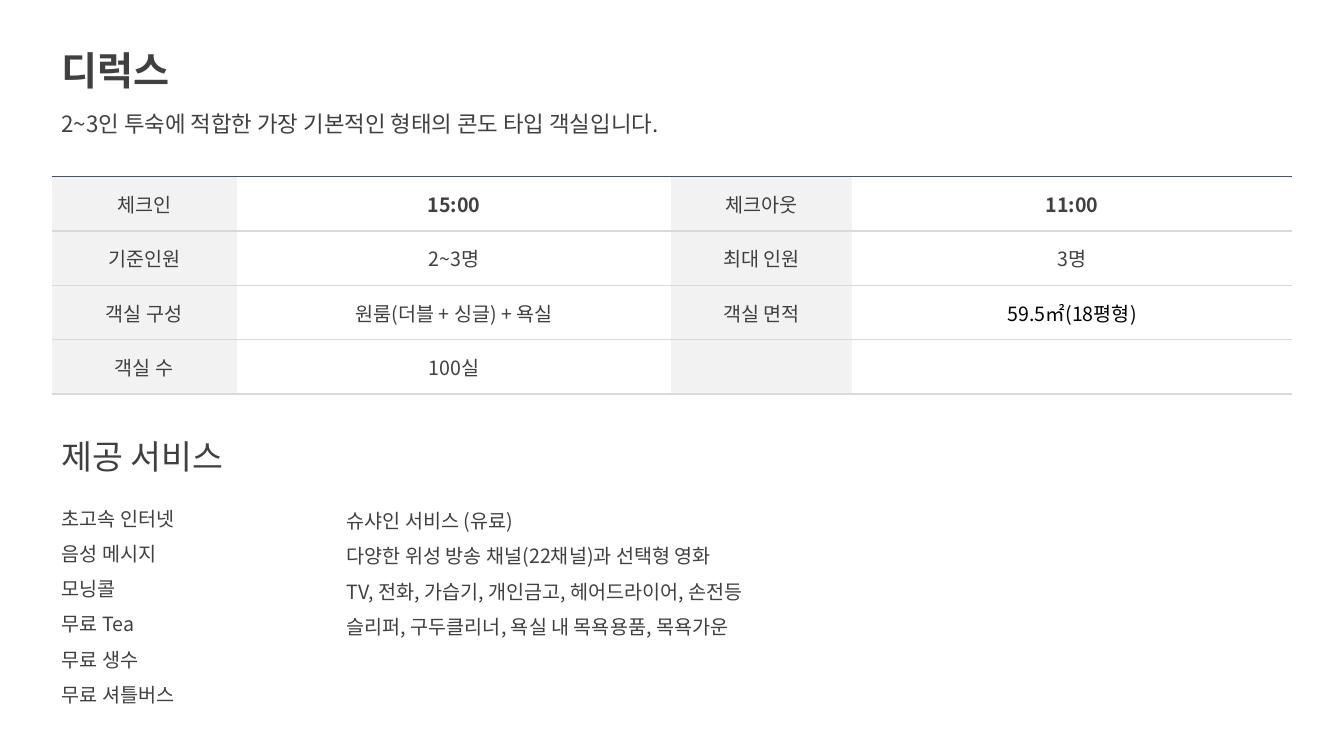
"""Builds the deluxe room slide with its facts table and service lists."""
from lxml import etree
from pptx import Presentation
from pptx.dml.color import RGBColor
from pptx.enum.text import MSO_ANCHOR, MSO_AUTO_SIZE, PP_ALIGN
from pptx.oxml.ns import qn
from pptx.util import Cm, Pt

TOP, MIDDLE = MSO_ANCHOR.TOP, MSO_ANCHOR.MIDDLE
LEFT, CENTER = PP_ALIGN.LEFT, PP_ALIGN.CENTER
FIT_SHAPE = MSO_AUTO_SIZE.SHAPE_TO_FIT_TEXT
FONT = "Noto Sans CJK KR"
TEXT, BLACK, WHITE = "404040", "000000", "FFFFFF"
LABEL_FILL, RULE, TOP_RULE = "F2F2F2", "D9D9D9", "44546A"
MARGIN = 1.3


def color(value):
    """Turn a hex string into a colour."""
    return RGBColor.from_string(value)


def write(paragraph, text, size, bold=False, ink=TEXT, align=LEFT):
    """Add one formatted run to a paragraph."""
    paragraph.alignment = align
    run = paragraph.add_run()
    run.text = text
    run.font.size = Pt(size)
    run.font.bold = bold
    run.font.color.rgb = color(ink)
    run.font.name = FONT
    etree.SubElement(run.font._element, qn("a:ea"), typeface=FONT)


presentation = Presentation()
presentation.slide_width, presentation.slide_height = Cm(33.87), Cm(19.05)
slide = presentation.slides.add_slide(presentation.slide_layouts[3])
title, services, extras = slide.placeholders
subtitle = slide.shapes.add_textbox(0, 0, 0, 0)
heading = slide.shapes.add_textbox(0, 0, 0, 0)

text_blocks = [
    (title, MARGIN, 1.04, 9.93, 1.45, 28, True, None, ["디럭스"]),
    (subtitle, MARGIN, 2.64, 18.03, 0.94, 16, False, None,
     ["2~3인 투숙에 적합한 가장 기본적인 형태의 콘도 타입 객실입니다."]),
    (heading, MARGIN, 10.87, 9.93, 1.27, 24, False, None, ["제공 서비스"]),
    (services, MARGIN, 12.34, 12.42, 5.54, 14, False, 1.5,
     ["초고속 인터넷", "음성 메시지", "모닝콜", "무료 Tea", "무료 생수", "무료 셔틀버스"]),
    (extras, 8.48, 12.4, 16.94, 3.84, 14, False, 1.5,
     ["슈샤인 서비스 (유료)",
      "다양한 위성 방송 채널(22채널)과 선택형 영화",
      "TV, 전화, 가습기, 개인금고, 헤어드라이어, 손전등",
      "슬리퍼, 구두클리너, 욕실 내 목욕용품, 목욕가운"]),
]
for shape, left, top, width, height, size, bold, spacing, lines in text_blocks:
    shape.left, shape.top = Cm(left), Cm(top)
    shape.width, shape.height = Cm(width), Cm(height)
    frame = shape.text_frame
    frame.word_wrap = True
    frame.auto_size = FIT_SHAPE
    frame.vertical_anchor = TOP
    for index, line in enumerate(lines):
        paragraph = frame.add_paragraph() if index else frame.paragraphs[0]
        properties = paragraph._p.get_or_add_pPr()
        properties.set("marL", "0")
        properties.set("indent", "0")
        etree.SubElement(properties, qn("a:buNone"))
        paragraph.space_before = Pt(0)
        paragraph.line_spacing = spacing
        write(paragraph, line, size, bold)

rows = [
    ["체크인", "15:00", "체크아웃", "11:00"],
    ["기준인원", "2~3명", "최대 인원", "3명"],
    ["객실 구성", "원룸(더블 + 싱글) + 욕실", "객실 면적", "59.5㎡(18평형)"],
    ["객실 수", "100실", "", ""],
]
column_widths = [4.67, 10.95, 4.55, 11.1]
row_height = 1.37
table = slide.shapes.add_table(
    len(rows), len(column_widths), Cm(MARGIN), Cm(4.45),
    Cm(sum(column_widths)), Cm(row_height * len(rows))).table
table.first_row = False
table.horz_banding = False
for column, width in zip(table.columns, column_widths):
    column.width = Cm(width)

for row_index, texts in enumerate(rows):
    table.rows[row_index].height = Cm(row_height)
    for column_index, text in enumerate(texts):
        cell = table.cell(row_index, column_index)
        cell.vertical_anchor = MIDDLE
        upper = RULE if row_index else TOP_RULE
        borders = [("a:lnL", None), ("a:lnR", None), ("a:lnT", upper), ("a:lnB", RULE)]
        for side, line_color in borders:
            border = etree.SubElement(cell._tc.get_or_add_tcPr(), qn(side), w=str(Pt(1)))
            if line_color:
                fill = etree.SubElement(border, qn("a:solidFill"))
                etree.SubElement(fill, qn("a:srgbClr"), val=line_color)
            else:
                etree.SubElement(border, qn("a:noFill"))
        is_label = column_index % 2 == 0
        cell.fill.solid()
        cell.fill.fore_color.rgb = color(LABEL_FILL if is_label else WHITE)
        if text:
            is_time = row_index == 0 and not is_label
            ink = BLACK if "㎡" in text else TEXT
            write(cell.text_frame.paragraphs[0], text, 14, is_time, ink, CENTER)

presentation.save("out.pptx")
